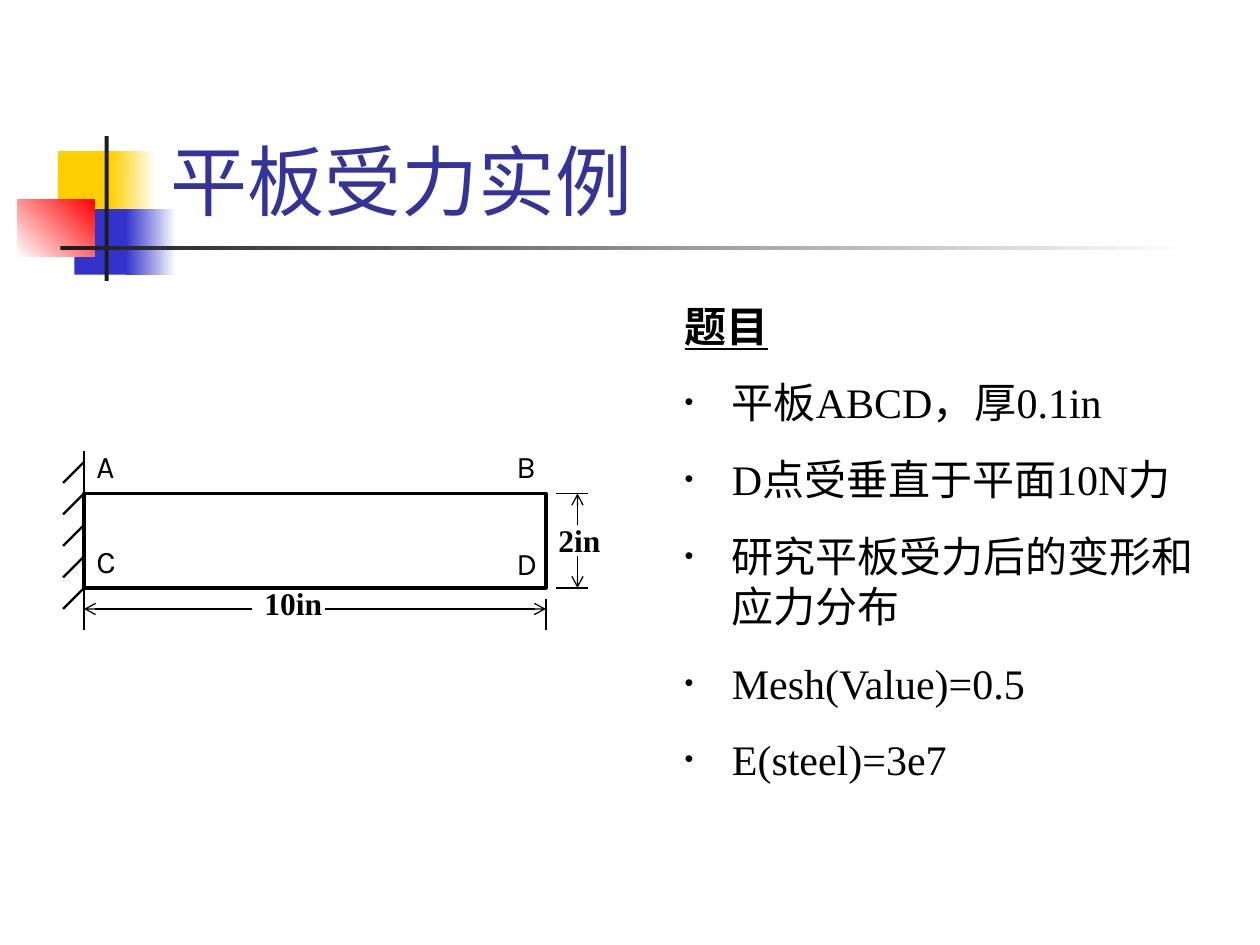
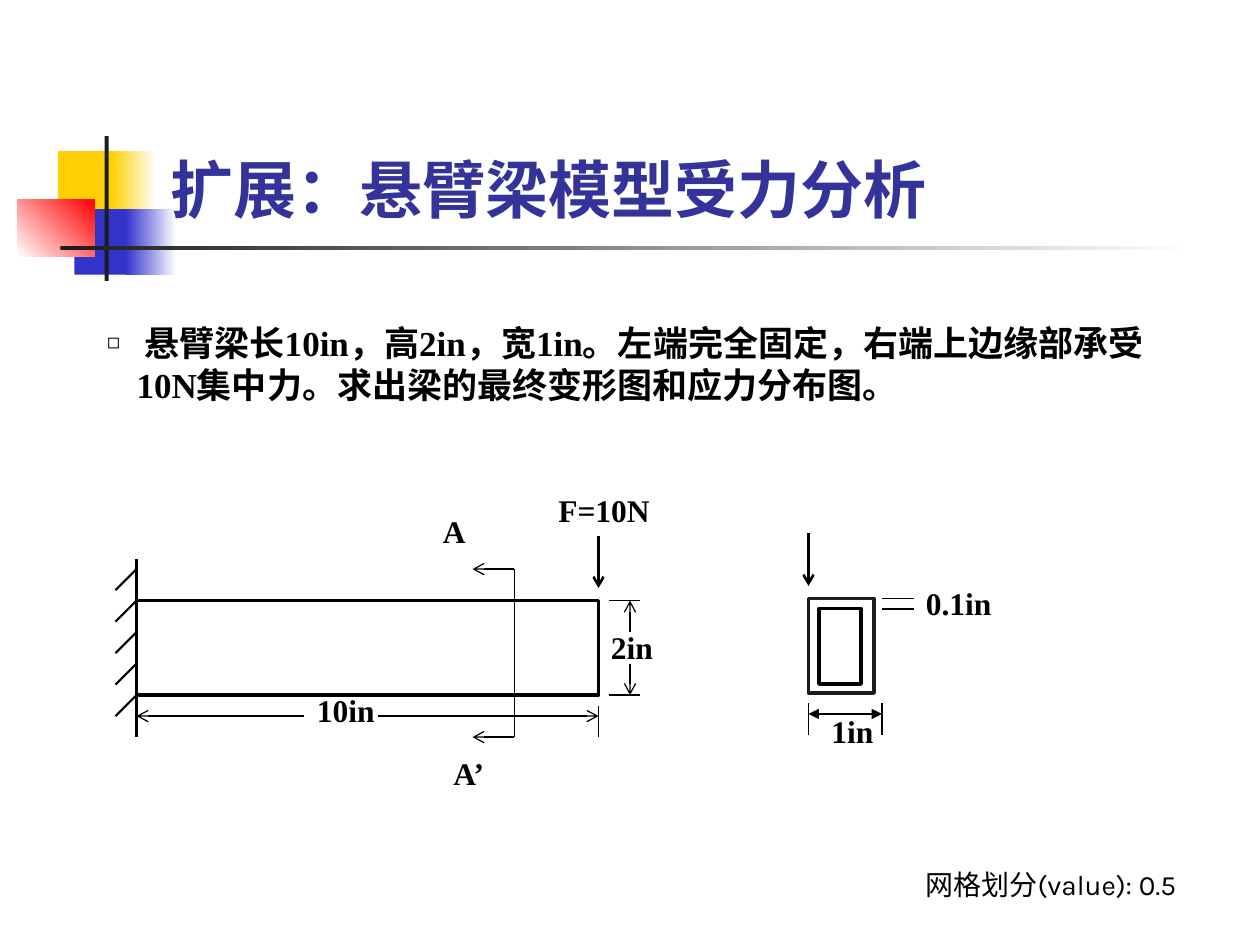
from dataclasses import dataclass
from typing import Any

from lxml.etree import SubElement
from pptx import Presentation
from pptx.dml.color import RGBColor
from pptx.enum.shapes import MSO_CONNECTOR as Connector, MSO_SHAPE as Shape
from pptx.enum.text import MSO_ANCHOR as Anchor, MSO_AUTO_SIZE as AutoSize, PP_ALIGN as Align
from pptx.oxml.ns import qn
from pptx.util import Inches, Pt

CELL = Inches(1) / 12
SANS, SERIF = "Karla", "Times New Roman"
BLACK, WHITE, CHARCOAL = "000000", "FFFFFF", "1C1C1C"
YELLOW, BLUE, RED, TITLE_BLUE = "FFCF01", "3333CC", "FF0000", "333399"
BEAM_LENGTH, BEAM_HEIGHT = 44, 9


@dataclass
class Sketch:
    shapes: Any
    column: float = 0
    row: float = 0

    def point(self, column, row):
        return cells(self.column + column), cells(self.row + row)


def cells(count):
    return round(count * CELL)


def color(code):
    return RGBColor.from_string(code)


def add_span(para, text, size, font, ink=BLACK, bold=False, underline=False):
    span = para.add_run()
    span.text = text
    span.font.size = Pt(size)
    span.font.name = font
    span.font.bold = bold
    span.font.underline = underline
    span.font.color.rgb = color(ink)


def add_label(sketch, column, row, width, text, size=18, font=SERIF, bold=True):
    box = sketch.shapes.add_textbox(*sketch.point(column, row), cells(width), cells(4.8))
    box.text_frame.word_wrap = True
    add_span(box.text_frame.paragraphs[0], text, size, font, bold=bold)


def add_box(sketch, column, row, width, height, fill, line=None):
    box = sketch.shapes.add_shape(
        Shape.RECTANGLE, *sketch.point(column, row), cells(width), cells(height))
    box.shadow.inherit = False
    box.fill.solid()
    box.fill.fore_color.rgb = color(fill)
    if line:
        box.line.color.rgb = color(line)
        box.line.width = Pt(2)
    else:
        box.line.fill.background()
    return box


def add_fade(sketch, column, row, width, height, start, end, angle=0):
    box = add_box(sketch, column, row, width, height, start)
    box.fill.gradient()
    box.fill.gradient_angle = angle
    for stop, code in zip(box.fill.gradient_stops, (start, end)):
        stop.color.rgb = color(code)
    return box


def add_line(sketch, start, end, width=0.75, head=None, tail=None):
    line = sketch.shapes.add_connector(
        Connector.STRAIGHT, *sketch.point(*start), *sketch.point(*end))
    line.line.color.rgb = color(BLACK)
    line.line.width = Pt(width)
    for tag, kind in (("a:headEnd", head), ("a:tailEnd", tail)):
        if kind:
            SubElement(line.line._get_or_add_ln(), qn(tag), type=kind)
    SubElement(line.element.spPr, qn("a:effectLst"))


def set_bullet(para, indent, symbol=None):
    properties = para._p.get_or_add_pPr()
    properties.set("marL", str(cells(indent)))
    properties.set("indent", str(-cells(indent)))
    if symbol:
        ink = SubElement(properties, qn("a:buClr"))
        SubElement(ink, qn("a:srgbClr"), val=BLACK)
        SubElement(properties, qn("a:buSzPct"), val="60000")
        SubElement(properties, qn("a:buChar"), char=symbol)
    else:
        SubElement(properties, qn("a:buNone"))


def place(holder, column, row, width, height, anchor):
    holder.left, holder.top = cells(column), cells(row)
    holder.width, holder.height = cells(width), cells(height)
    frame = holder.text_frame
    frame.auto_size = AutoSize.NONE
    frame.word_wrap = True
    frame.vertical_anchor = anchor
    return frame


def add_page(deck, title, size, bold=False):
    page = deck.slides.add_slide(deck.slide_layouts[1])
    frame = place(page.shapes.title, 15, 2.9, 102.24, 19.2, Anchor.BOTTOM)
    para = frame.paragraphs[0]
    para.alignment = Align.LEFT
    add_span(para, title, size, SANS, TITLE_BLUE, bold)
    return page


def add_body_para(frame, text, size, indent, symbol=None, gap=0, **style):
    first = frame.paragraphs[0]
    para = first if not first.runs else frame.add_paragraph()
    para.space_before = Pt(gap)
    set_bullet(para, indent, symbol)
    add_span(para, text, size, SERIF, **style)


def decorate_master(deck, page):
    sketch = Sketch(page.shapes)
    bands = [
        add_box(sketch, 5.52, 14.4, 5.76, 6.24, YELLOW),
        add_fade(sketch, 10.56, 14.4, 4.32, 6.24, YELLOW, WHITE),
        add_box(sketch, 7.08, 19.92, 5.52, 6.24, BLUE),
        add_fade(sketch, 12, 19.92, 4.8, 6.24, BLUE, WHITE),
        add_fade(sketch, 1.68, 18.96, 7.32, 5.52, WHITE, RED, 45),
        add_box(sketch, 9.96, 12.96, 0.4, 13.8, CHARCOAL),
        add_fade(sketch, 5.76, 23.4, 108, 0.4, CHARCOAL, WHITE),
    ]
    tree = deck.slide_master.shapes.element
    for position, band in enumerate(bands, 2):
        tree.insert(position, band.element)


def draw_beam(sketch):
    add_box(sketch, 0, 0, BEAM_LENGTH, BEAM_HEIGHT, WHITE, BLACK)
    add_line(sketch, (BEAM_LENGTH, 10), (BEAM_LENGTH, 13))
    add_line(sketch, (16, 11), (0, 11), tail="arrow")
    add_line(sketch, (23, 11), (BEAM_LENGTH, 11), tail="arrow")
    add_label(sketch, 16, 8, 9, "10in")
    for edge, inner in ((0, 3), (BEAM_HEIGHT, 6)):
        add_line(sketch, (45, edge), (48, edge))
        add_line(sketch, (47, inner), (47, edge), tail="arrow")
    add_label(sketch, BEAM_LENGTH, 2, 9, "2in")
    add_line(sketch, (0, -4), (0, 13), 1.5)
    for row in range(-3, 10, 3):
        add_line(sketch, (0, row), (-2, row + 2), 1.25)


def draw_section_mark(sketch):
    add_line(sketch, (36, -3), (36, 13))
    for row in (-3, 13):
        add_line(sketch, (36, row), (32, row), tail="arrow")
    add_label(sketch, 28, -9, 5, "A")
    add_label(sketch, 29, 14, 6, "A’")


def draw_force(sketch, column):
    add_line(sketch, (column, -6.2), (column, -1.2), 1.5, tail="arrow")


def draw_cross_section(sketch):
    add_box(sketch, 0, 0, 6.24, 9, WHITE, CHARCOAL)
    add_box(sketch, 1, 0.96, 4, 7.2, WHITE, BLACK)
    for column in (0, 7):
        add_line(sketch, (column, 10), (column, 13))
    for row in (0, 1):
        add_line(sketch, (7, row), (10, row))
    add_line(sketch, (0, 11), (7, 11), head="triangle", tail="triangle")
    add_label(sketch, 1, 10.2, 8, "1in")
    add_label(sketch, 10, -2, 10, "0.1in")
    draw_force(sketch, 0)


def build_plate(deck):
    page = add_page(deck, "平板受力实例", 44)
    decorate_master(deck, page)
    frame = place(page.placeholders[1], 64, 28, 52, 47.28, Anchor.TOP)
    add_body_para(frame, "题目", 24, 4.5, bold=True, underline=True)
    for text in ("平板ABCD，厚0.1in", "D点受垂直于平面10N力",
                 "研究平板受力后的变形和应力分布", "Mesh(Value)=0.5", "E(steel)=3e7"):
        add_body_para(frame, text, 24, 4.5, "•", 15)
    sketch = Sketch(page.shapes, 8, 47)
    draw_beam(sketch)
    for corner, column, row in (("A", 0, -5), ("B", 40, -5), ("C", 0, 4), ("D", 40, 4.2)):
        add_label(sketch, column, row, 5, corner, font=SANS, bold=False)


def build_cantilever(deck):
    page = add_page(deck, "扩展：悬臂梁模型受力分析", 36, True)
    frame = place(page.placeholders[1], 9, 30, 104, 9.24, Anchor.TOP)
    add_body_para(frame, " 悬臂梁长10in，高2in，宽1in。左端完全固定，右端上边缘部承受10N集中力。"
                  "求出梁的最终变形图和应力分布图。", 20, 2.8, "◻", bold=True)
    beam = Sketch(page.shapes, 13, 57.2)
    draw_beam(beam)
    draw_section_mark(beam)
    draw_force(beam, BEAM_LENGTH)
    add_label(beam, 39, -11, 12, "F=10N")
    draw_cross_section(Sketch(page.shapes, 77, 57))
    add_label(Sketch(page.shapes), 87, 82, 29, "网格划分(value): 0.5", 16, SANS, False)


def main():
    deck = Presentation()
    deck.slide_width, deck.slide_height = cells(120), cells(90)
    build_plate(deck)
    build_cantilever(deck)
    deck.save("out.pptx")


if __name__ == "__main__":
    main()
